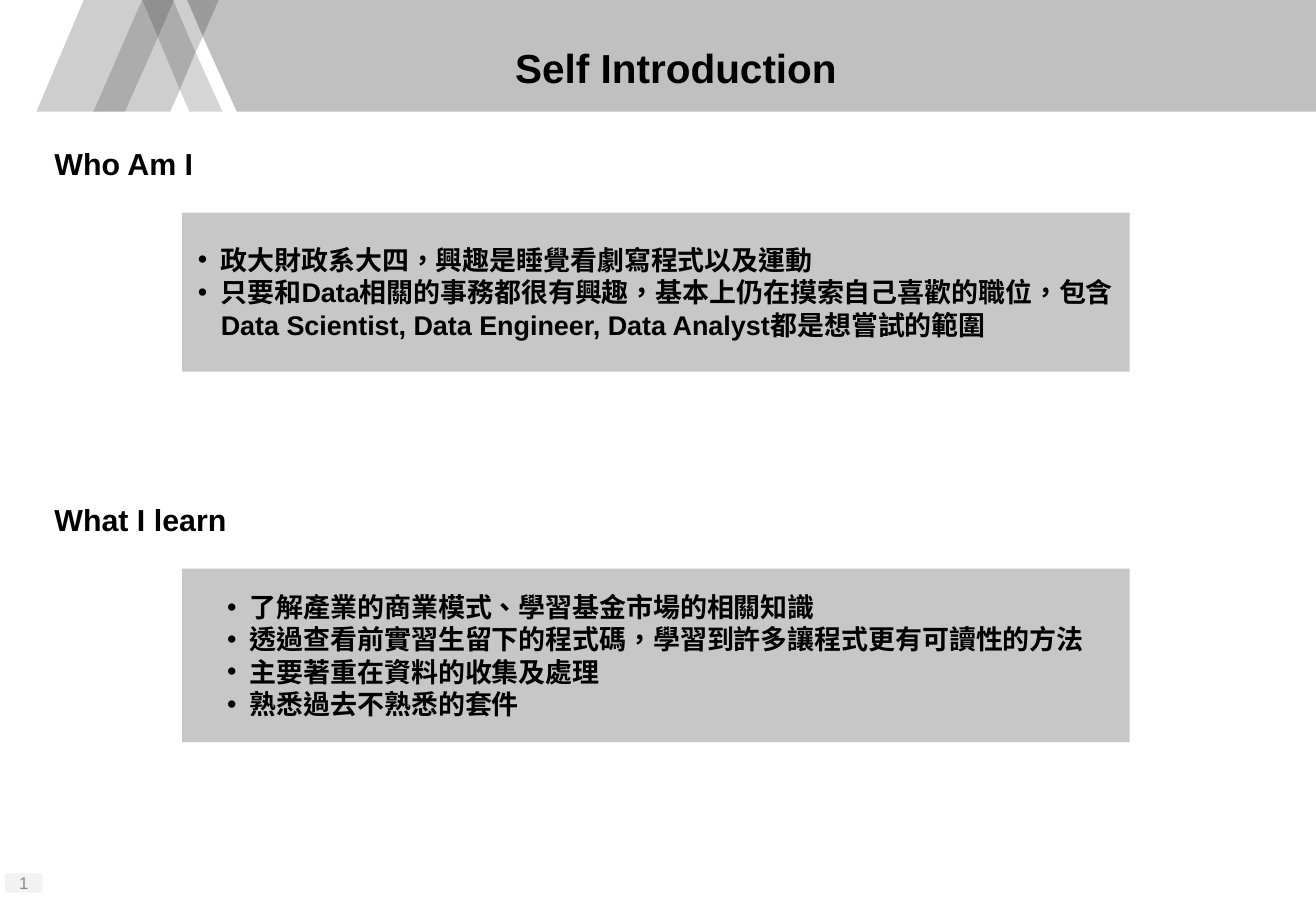
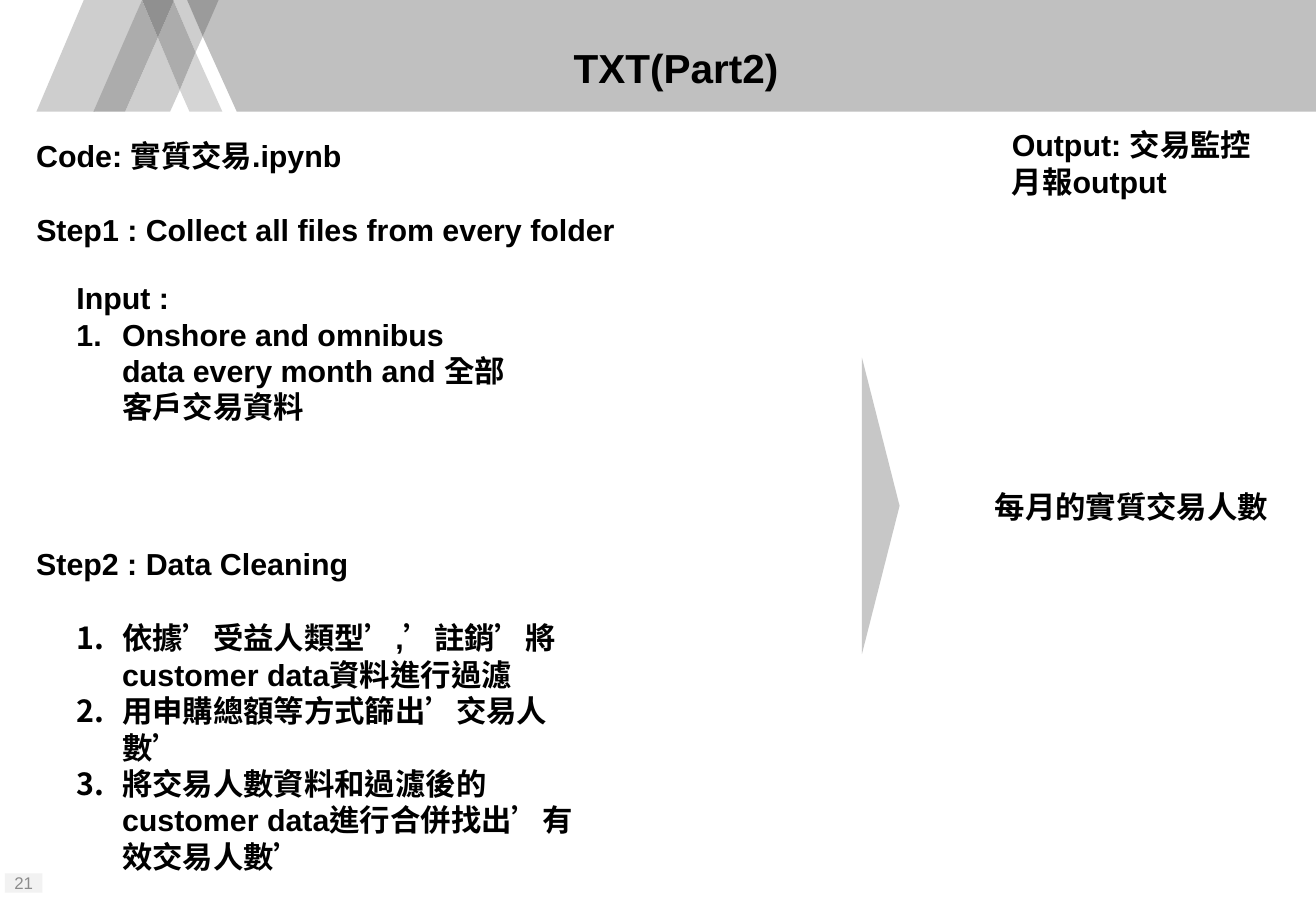
from lxml import etree
from pptx import Presentation
from pptx.dml.color import RGBColor
from pptx.enum import lang, shapes, text
from pptx.oxml import ns
from pptx.util import Pt

COLORS = {
    "band": "C0C0C0", "panel": "C7C7C7", "page": "F2F2F2",
    "ink": "000000", "page_ink": "8C8C8C",
    "pale": "D5D5D5", "light": "CECECE", "shade": "9B9B9B",
    "middle": "ACACAC", "dark": "909090",
}
FONT = "Arial"
FORMATS = {
    "title": {"size": Pt(24), "bold": True},
    "heading": {"size": Pt(18), "bold": True},
    "panel": {"size": Pt(16), "bold": True},
    "page": {"size": Pt(10), "bold": False},
}
BAND_BOTTOM = 66.2
BANNER = [
    ("band", [(120.2, 21.6), (140.4, BAND_BOTTOM), (780, BAND_BOTTOM), (780, 0), (128.9, 0)]),
    ("pale", [(115.9, 31), (106.6, 53.3), (112.3, BAND_BOTTOM), (131.8, BAND_BOTTOM)]),
    ("light", [(110.9, 0), (103, 0), (103, 0.7), (115.9, 31), (120.2, 21.6)]),
    ("light", [(93.6, 22.3), (74.2, BAND_BOTTOM), (100.8, BAND_BOTTOM), (106.6, 53.3)]),
    ("light", [(84.2, 0), (49.7, 0), (21.6, BAND_BOTTOM), (56.2, BAND_BOTTOM)]),
    ("shade", [(129.6, 0), (110.9, 0), (120.2, 21.6)]),
    ("middle", [(103, 0.7), (93.6, 22.3), (106.6, 53.3), (115.9, 31)]),
    ("middle", [(84.2, 0), (55.4, BAND_BOTTOM), (74.2, BAND_BOTTOM), (93.6, 22.3)]),
    ("dark", [(103, 0), (84.2, 0), (93.6, 22.3), (103, 0.7)]),
]
# Marker: hanging indent in points, XML element, its attributes
MARKERS = {
    "bullet": (13.5, "a:buChar", {"char": "•"}),
    "number": (27, "a:buAutoNum", {"type": "arabicPeriod"}),
}


class Deck:
    def __init__(self):
        self.prs = Presentation()
        self.prs.slide_width, self.prs.slide_height = Pt(780), Pt(540)
        self.slide = None

    def new_slide(self, title, page):
        self.slide = self.prs.slides.add_slide(self.prs.slide_layouts[6])
        for color, points in BANNER:
            self.outline(color, points)
        center = text.PP_ALIGN.CENTER
        number = self.block((2.9, 517.7, 22.3, 11.5), "page")
        self.put_text(number, [page], "page", color="page_ink", align=center,
                      margins=(2.9, 3.6), anchor=text.MSO_ANCHOR.MIDDLE)
        heading = self.slide.shapes.add_textbox(*map(Pt, (151.2, 11.5, 499, 56.9)))
        self.put_text(heading, [title], "title", align=center,
                      margins=(0, 0), anchor=text.MSO_ANCHOR.MIDDLE)

    def paint(self, shape, color):
        shape.shadow.inherit = False
        shape.fill.solid()
        shape.fill.fore_color.rgb = RGBColor.from_string(COLORS[color])
        shape.line.fill.background()
        return shape

    def outline(self, color, points):
        corners = [(Pt(x), Pt(y)) for x, y in points]
        builder = self.slide.shapes.build_freeform(*corners[0])
        builder.add_line_segments(corners[1:], close=True)
        self.paint(builder.convert_to_shape(), color)

    def block(self, box, color, kind=shapes.MSO_SHAPE.RECTANGLE):
        return self.paint(self.slide.shapes.add_shape(kind, *map(Pt, box)), color)

    def put_text(self, shape, lines, style, color="ink", align=text.PP_ALIGN.LEFT,
                 margins=(7.2, 3.6), anchor=text.MSO_ANCHOR.TOP, marker=None, plain=0):
        """Fill a shape with paragraphs; the first `plain` ones get no marker."""
        frame = shape.text_frame
        side, edge = map(Pt, margins)
        settings = {"word_wrap": True, "vertical_anchor": anchor,
                    "margin_left": side, "margin_right": side,
                    "margin_top": edge, "margin_bottom": edge}
        for name, value in settings.items():
            setattr(frame, name, value)
        for index, line in enumerate(lines):
            paragraph = frame.paragraphs[0] if index == 0 else frame.add_paragraph()
            paragraph.alignment = align
            run = paragraph.add_run()
            run.text = line
            run.font.name = FONT
            run.font.language_id = lang.MSO_LANGUAGE_ID.TRADITIONAL_CHINESE
            run.font.color.rgb = RGBColor.from_string(COLORS[color])
            for name, value in FORMATS[style].items():
                setattr(run.font, name, value)
            if marker and index >= plain:
                self.mark(paragraph, marker)

    def mark(self, paragraph, marker):
        """Give a paragraph a hanging bullet or number."""
        indent, tag, attributes = MARKERS[marker]
        props = paragraph._p.get_or_add_pPr()
        props.set("marL", str(Pt(indent)))
        props.set("indent", str(-Pt(indent)))
        if marker == "bullet":
            etree.SubElement(props, ns.qn("a:buFont"), typeface=FONT)
        etree.SubElement(props, ns.qn(tag), attributes)

    def label(self, box, *lines, **options):
        note = self.slide.shapes.add_textbox(*map(Pt, box))
        self.put_text(note, lines, "heading", **options)
        note.text_frame.auto_size = text.MSO_AUTO_SIZE.SHAPE_TO_FIT_TEXT

    def panel(self, top, height, *lines):
        panel = self.block((108, top, 561.6, height), "panel")
        self.put_text(panel, lines, "panel", margins=(2.9, 2.9),
                      anchor=text.MSO_ANCHOR.MIDDLE, marker="bullet")
        # Centres the text block as a whole while its lines stay left-aligned
        panel.text_frame._txBody.bodyPr.set("anchorCtr", "1")

    def arrow(self, box):
        self.block(box, "panel", shapes.MSO_SHAPE.ISOSCELES_TRIANGLE).rotation = 90


def self_introduction(deck):
    deck.new_slide("Self Introduction", "1")
    deck.label((25.2, 82.8, 97.9, 28.8), "Who Am I")
    deck.panel(126, 94.3,
               "政大財政系大四，興趣是睡覺看劇寫程式以及運動",
               "只要和Data相關的事務都很有興趣，基本上仍在摸索自己喜歡的職位，"
               "包含Data Scientist, Data Engineer, Data Analyst都是想嘗試的範圍")
    deck.label((25.2, 293.8, 117.4, 28.8), "What I learn")
    deck.panel(337, 103,
               "了解產業的商業模式、學習基金市場的相關知識",
               "透過查看前實習生留下的程式碼，學習到許多讓程式更有可讀性的方法",
               "主要著重在資料的收集及處理",
               "熟悉過去不熟悉的套件")


def txt_part_two(deck):
    deck.new_slide("TXT(Part2)", "21")
    deck.label((14.4, 77.8, 197.3, 28.8), "Code: 實質交易.ipynb")
    deck.label((14.4, 121.7, 360.7, 28.8), "Step1 : Collect all files from every folder")
    deck.label((38.2, 162, 272.2, 94.3),
               "Input :",
               "Onshore and omnibus data every month and 全部客戶交易資料",
               marker="number", plain=1)
    deck.label((14.4, 319.7, 201.6, 28.8), "Step2 : Data Cleaning")
    deck.label((38.2, 363.6, 317.5, 138.2),
               "依據’受益人類型’,’註銷’將customer data資料進行過濾",
               "用申購總額等方式篩出’交易人數’",
               "將交易人數資料和過濾後的customer data進行合併找出’有效交易人數’",
               marker="number")
    deck.arrow((434.2, 288.7, 175.7, 22.3))
    deck.label((592.6, 71.3, 157.7, 51.1), "Output: 交易監控", "月報output")
    deck.label((582.5, 285.8, 177.8, 28.8), "每月的實質交易人數")


def main():
    deck = Deck()
    self_introduction(deck)
    txt_part_two(deck)
    deck.prs.save("out.pptx")


if __name__ == "__main__":
    main()
